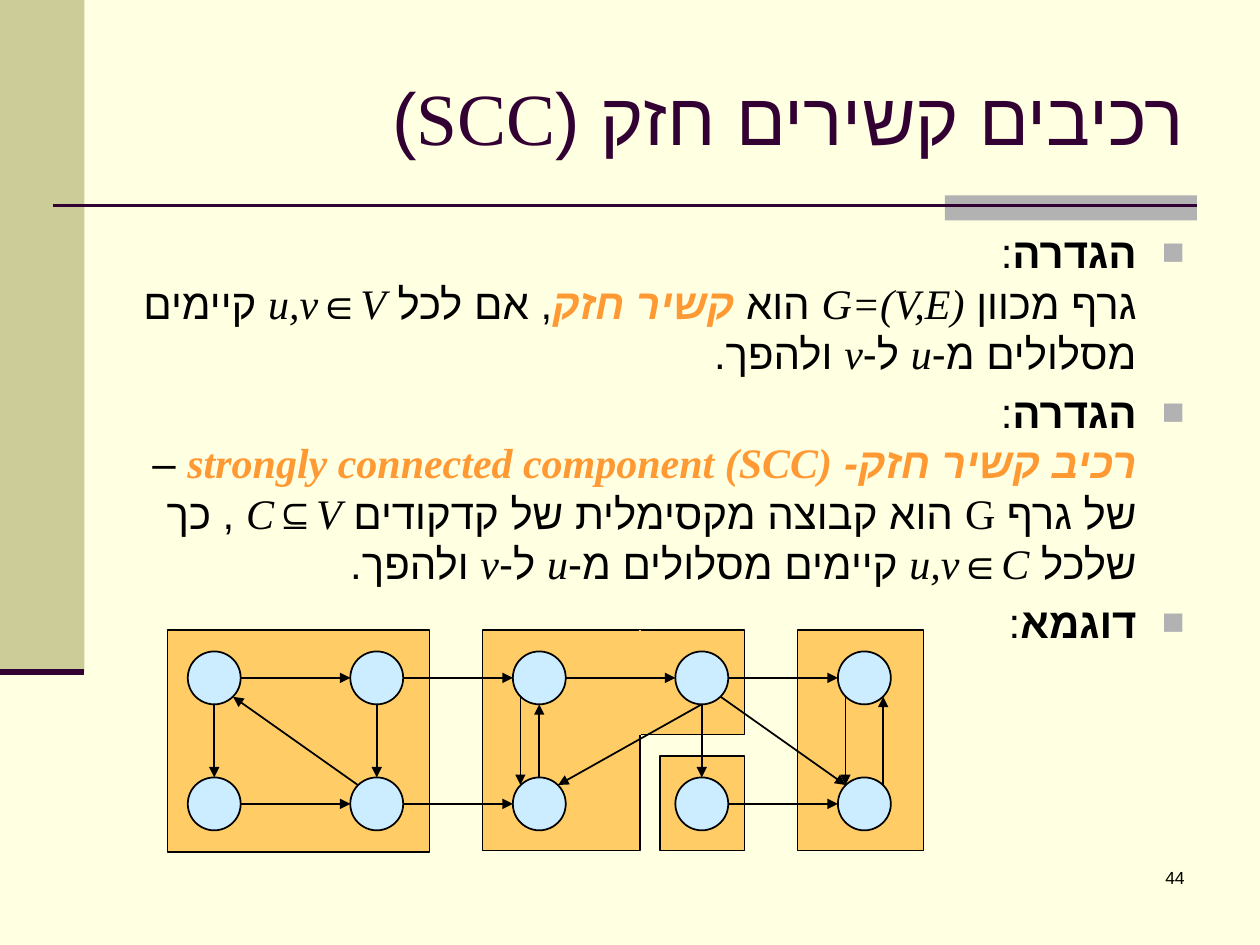
from dataclasses import dataclass

from lxml import etree
from pptx import Presentation
from pptx.dml.color import RGBColor
from pptx.enum import shapes, text
from pptx.oxml import ns
from pptx.util import Inches, Pt


@dataclass(frozen=True)
class Theme:
    paper: str = "FFFFE1"
    band: str = "CCCC99"
    accent: str = "B2B2B2"
    plum: str = "330033"
    ink: str = "000000"
    term: str = "FF9933"
    component: str = "FFCC66"
    vertex: str = "CCECFF"
    serif: str = "Times New Roman"
    sans: str = "Arial"
    title_size: int = 42
    body_size: int = 24
    number_size: int = 10


theme = Theme()
color = RGBColor.from_string

prs = Presentation()
prs.slide_width, prs.slide_height = Inches(10), Inches(7.5)
slide = prs.slides.add_slide(prs.slide_layouts[5])
slide.background.fill.solid()
slide.background.fill.fore_color.rgb = color(theme.paper)


def draw_shape(kind, left, top, width, height, fill, outline=None):
    drawn = slide.shapes.add_shape(
        kind, Inches(left), Inches(top), Inches(width), Inches(height))
    drawn.shadow.inherit = False
    drawn.fill.solid()
    drawn.fill.fore_color.rgb = color(fill)
    if outline:
        drawn.line.color.rgb = color(outline)
        drawn.line.width = Pt(1)
    else:
        drawn.line.fill.background()


def draw_line(x1, y1, x2, y2, stroke, width=1, arrow=False):
    line = slide.shapes.add_connector(
        shapes.MSO_CONNECTOR.STRAIGHT, Inches(x1), Inches(y1), Inches(x2), Inches(y2))
    line.line.color.rgb = color(stroke)
    line.line.width = Pt(width)
    if arrow:
        etree.SubElement(line.line._get_or_add_ln(), ns.qn("a:tailEnd"), type="triangle")
    etree.SubElement(line._element.spPr, ns.qn("a:effectLst"))


rect = shapes.MSO_SHAPE.RECTANGLE
draw_shape(rect, 0, 0, 0.67, 5.33, theme.band)
draw_shape(rect, 7.5, 1.55, 2, 0.2, theme.accent)
draw_line(0.42, 1.63, 9.5, 1.63, theme.plum, 1.5)
draw_line(0, 5.33, 0.67, 5.33, theme.plum, 3.5)

title = slide.shapes.title
title.left, title.top, title.width, title.height = (
    Inches(1), Inches(0.3), Inches(8.5), Inches(1.25))
title.text_frame.text = "רכיבים קשירים חזק (SCC)"
title.text_frame.vertical_anchor = text.MSO_ANCHOR.MIDDLE
heading = title.text_frame.paragraphs[0]
heading.alignment = text.PP_ALIGN.RIGHT
heading._p.get_or_add_pPr().set("rtl", "1")
heading_font = heading.runs[0].font
heading_font.size = Pt(theme.title_size)
heading_font.name = theme.serif
heading_font.color.rgb = color(theme.plum)
etree.SubElement(heading_font._element, ns.qn("a:cs"), typeface=theme.sans)

reachability = [("קיימים מסלולים מ-", ""), ("u", "i"), (" ל-", ""), ("v", "i"),
                (" ולהפך.", "")]
definitions = [
    [("הגדרה", "b"), (":", ""), ("\n", ""), ("גרף מכוון ", ""), ("G=(V,E) ", "i"),
     ("הוא ", ""), ("קשיר חזק", "term"), (", אם לכל ", ""), ("u,v∈V ", "i"),
     *reachability],
    [("הגדרה", "b"), (":", ""), ("\n", ""),
     ("רכיב קשיר חזק- strongly connected component (SCC) ", "term"),
     ("– של גרף G הוא קבוצה מקסימלית של קדקודים ", ""), ("C⊆V ", "i"),
     (", כך שלכל ", ""), ("u,v∈C ", "i"), *reachability],
    [("דוגמא", "b"), (":", "")],
]

body = slide.shapes.add_textbox(Inches(1), Inches(1.75), Inches(8.5), Inches(3.09))
body.text_frame.word_wrap = True
for index, pieces in enumerate(definitions):
    paragraph = body.text_frame.paragraphs[0] if index == 0 else body.text_frame.add_paragraph()
    paragraph.alignment = text.PP_ALIGN.RIGHT
    props = paragraph._p.get_or_add_pPr()
    props.set("rtl", "1")
    props.set("marL", str(Inches(0.38)))
    props.set("indent", str(Inches(-0.38)))
    bullet_color = etree.SubElement(props, ns.qn("a:buClr"))
    etree.SubElement(bullet_color, ns.qn("a:srgbClr"), val=theme.accent)
    etree.SubElement(props, ns.qn("a:buSzPct"), val="90000")
    etree.SubElement(props, ns.qn("a:buFont"), typeface=theme.sans)
    etree.SubElement(props, ns.qn("a:buChar"), char="■")
    paragraph.font.size = Pt(theme.body_size)
    if index:
        paragraph.space_before = Pt(theme.body_size * 0.2)
    for wording, style in pieces:
        if wording == "\n":
            paragraph.add_line_break()
            continue
        run = paragraph.add_run()
        run.text = wording
        run.font.size = Pt(theme.body_size)
        run.font.name = theme.serif
        run.font.bold = style in ("b", "term")
        run.font.italic = style in ("i", "term")
        run.font.color.rgb = color(theme.term if style == "term" else theme.ink)
        etree.SubElement(run.font._element, ns.qn("a:cs"), typeface=theme.sans)

components = [(5.24, 6, 0.67, 0.75), (6.33, 5, 1, 1.75), (1.33, 5, 2.08, 1.76),
              (3.83, 5, 1.25, 1.75), (5.08, 5, 0.83, 0.83)]
for bounds in components:
    draw_shape(rect, *bounds, theme.component, theme.ink)
draw_line(5.08, 5, 5.08, 5.83, theme.component)

radius, diagonal = 0.21, 0.15
columns = [1.7 + 1.29 * column for column in range(5)]
rows = [5.38, 6.38]
for y in rows:
    for x in columns:
        draw_shape(shapes.MSO_SHAPE.OVAL, x - radius, y - radius, 2 * radius, 2 * radius,
                   theme.vertex, theme.ink)

sites = {"n": (0, -radius), "s": (0, radius), "w": (-radius, 0), "e": (radius, 0),
         "nw": (-diagonal, -diagonal), "ne": (diagonal, -diagonal),
         "sw": (-diagonal, diagonal), "se": (diagonal, diagonal)}
across = [((column, row, "e"), (column + 1, row, "w"))
          for row, starts in enumerate([range(4), (0, 1, 3)]) for column in starts]
down = [((column, 0, "s"), (column, 1, "n")) for column in (0, 1, 3)]
others = [
    ((1, 1, "nw"), (0, 0, "se")),
    ((3, 0, "s"), (2, 1, "ne")),
    ((2, 1, "n"), (2, 0, "s")),
    ((2, 0, "sw"), (2, 1, "nw")),
    ((4, 0, "sw"), (4, 1, "nw")),
    ((4, 1, "ne"), (4, 0, "se")),
    ((3, 0, "se"), (4, 1, "nw")),
]
for edge in across + down + others:
    ends = [(columns[column] + sites[site][0], rows[row] + sites[site][1])
            for column, row, site in edge]
    draw_line(*ends[0], *ends[1], theme.ink, arrow=True)

page = slide.shapes.add_textbox(Inches(7.42), Inches(6.83), Inches(2.08), Inches(0.5))
page.text_frame.word_wrap = True
page.text_frame.text = "44"
page_number = page.text_frame.paragraphs[0]
page_number.alignment = text.PP_ALIGN.RIGHT
page_font = page_number.runs[0].font
page_font.size = Pt(theme.number_size)
page_font.name = theme.sans
page_font.color.rgb = color(theme.ink)

prs.save("out.pptx")
